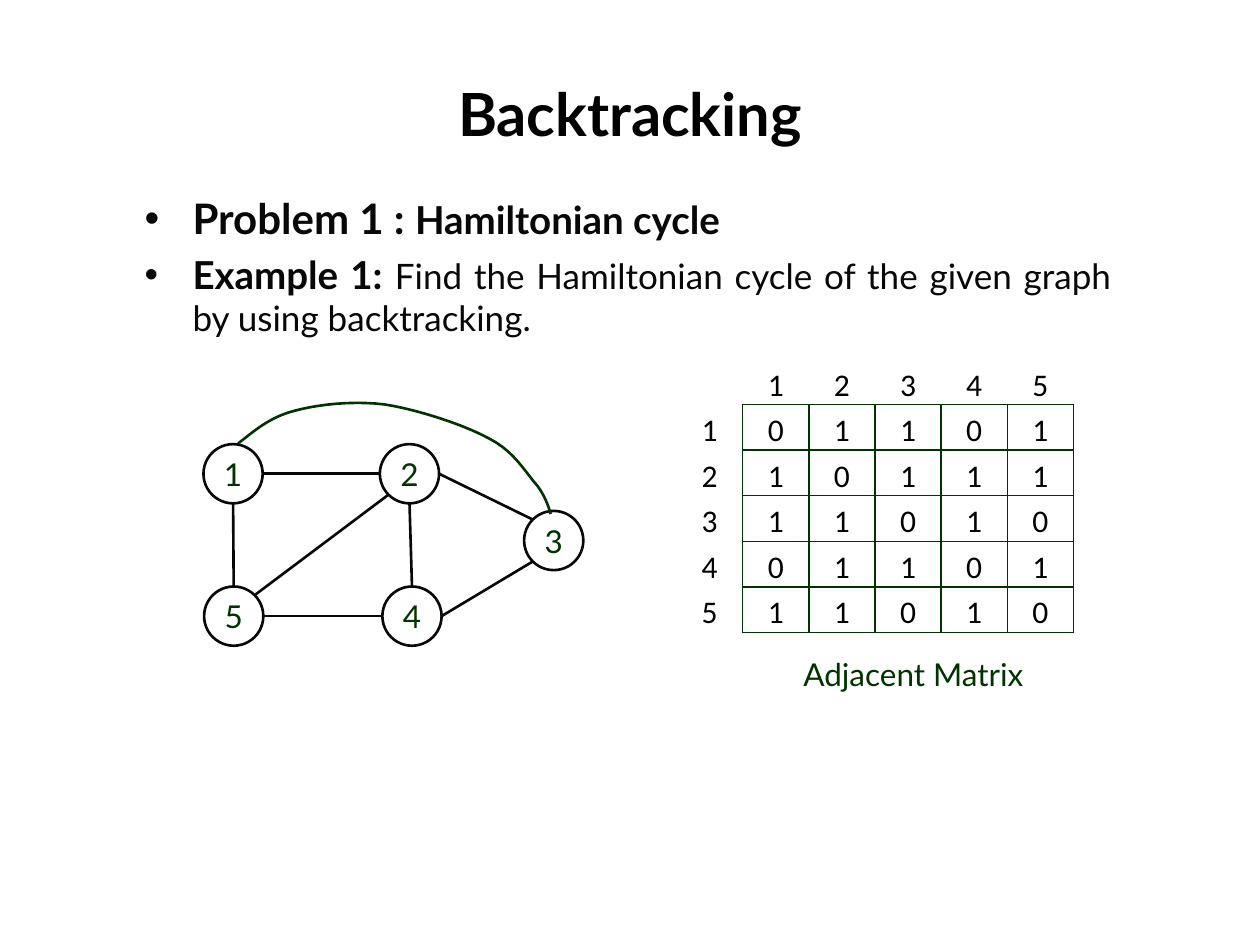
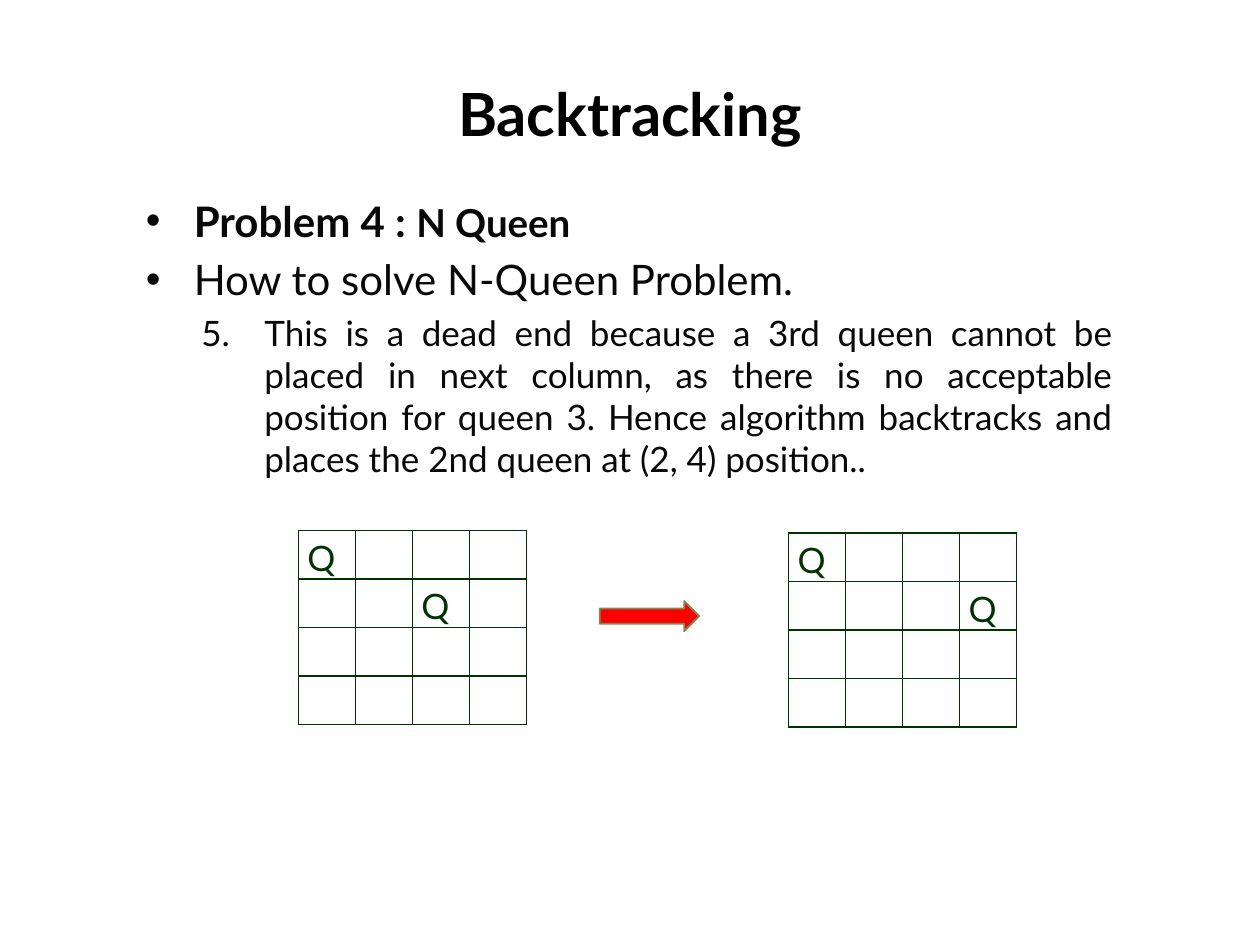
from itertools import product
from math import cos, radians, sin

from lxml.etree import SubElement
from pptx import Presentation
from pptx.dml.color import RGBColor
from pptx.enum.shapes import MSO_CONNECTOR, MSO_SHAPE
from pptx.enum.text import MSO_ANCHOR, PP_ALIGN
from pptx.oxml import parse_xml
from pptx.oxml.ns import nsdecls, qn
from pptx.util import Inches, Pt

INK = {"title": "000000", "body": "080808", "green": "003300",
       "white": "FFFFFF", "arrow": "FF0000", "rim": "7B8D55"}
FONT, CELL_FONT = "Lato", "Calibri"
COLS, ROWS = 100, 75  # slide grid, ten units to the inch
SIZE = 4.7  # diameter of a graph node

# Graph: centre of each node, then edges with the rim angles they join
NODES = {1: (18.5, 37.6), 2: (32.5, 37.6), 3: (43.95, 42.9),
         4: (32.7, 48.9), 5: (18.55, 48.9)}
EDGES = [(2, 180, 1, 0), (4, 180, 5, 0), (2, 90, 4, 270), (5, 270, 1, 90),
         (2, 135, 5, 315), (3, 225, 2, 0), (3, 135, 4, 0)]
ARC = (1, 3)  # the edge drawn as a curve
CURVE = [(18.9, 35.2), (20.2, 34.2), (21.4, 33.1), (23.4, 32.6),
         (25.3, 32.1), (27.9, 31.8), (30.5, 32.1),
         (33.1, 32.5), (36.8, 33.7), (38.8, 34.8),
         (40.8, 35.8), (41.7, 37.5), (42.6, 38.5),
         (43.4, 39.5), (43.7, 40.8), (43.7, 40.8)]


def unit(n):
    return Inches(n / 10)


def box(*nums):
    return [unit(n) for n in nums]


def tint(name):
    return RGBColor.from_string(INK[name])


def style(run, size, ink, bold=False, face=FONT):
    font = run.font
    font.name, font.size, font.bold = face, Pt(size), bold
    font.color.rgb = tint(ink)


def stroke(line, ink, width=1.5):
    line.color.rgb = tint(ink)
    line.width = Pt(width)


def label(slide, area, text, size, ink, bold=False):
    frame = slide.shapes.add_textbox(*box(*area)).text_frame
    frame.word_wrap = True
    frame.vertical_anchor = MSO_ANCHOR.MIDDLE
    frame.text = text
    par = frame.paragraphs[0]
    par.alignment = PP_ALIGN.CENTER
    style(par.runs[0], size, ink, bold)


def bullet(par, start=None):
    """Hang a dot, or a number when start is given."""
    props = par._p.get_or_add_pPr()
    left, hang = (0.94, 0.5) if start else (0.38, 0.38)
    props.set("marL", str(Inches(left)))
    props.set("indent", str(-Inches(hang)))
    if start:
        SubElement(props, qn("a:buAutoNum"), type="arabicPeriod",
                   startAt=str(start))
    else:
        SubElement(props, qn("a:buFont"), typeface="Arial")
        SubElement(props, qn("a:buChar"), char="•")


def body(slide, area, items):
    """Each item is (start number or None, [(text, size, bold), ...])."""
    frame = slide.shapes.add_textbox(*box(*area)).text_frame
    frame.word_wrap = True
    for i, (start, parts) in enumerate(items):
        par = frame.add_paragraph() if i else frame.paragraphs[0]
        par.alignment = PP_ALIGN.JUSTIFY
        if i:
            par.space_before = Pt(parts[0][1] * 0.2)
        bullet(par, start)
        for text, size, bold in parts:
            run = par.add_run()
            run.text = text
            style(run, size, "body", bold)


def border(cell, inks):
    """Draw the left, right, top and bottom sides in the given inks."""
    props = cell._tc.get_or_add_tcPr()
    for i, (side, ink) in enumerate(zip("LRTB", inks)):
        props.insert(i, parse_xml(
            f'<a:ln{side} {nsdecls("a")} w="12700"><a:solidFill>'
            f'<a:srgbClr val="{INK[ink]}"/></a:solidFill></a:ln{side}>'))


def table(slide, area, count):
    grid = slide.shapes.add_table(count, count, *box(*area)).table
    grid.first_row = grid.horz_banding = False
    for cell in grid.iter_cells():
        cell.fill.background()
        cell.vertical_anchor = MSO_ANCHOR.BOTTOM
        cell.margin_left = cell.margin_right = cell.margin_top = unit(0.1)
        cell.margin_bottom = 0
    return grid


def matrix(slide, area):
    """Adjacency matrix worked out from the edges of the graph."""
    pairs = {frozenset((a, b)) for a, _, b, _ in EDGES} | {frozenset(ARC)}
    count = len(NODES) + 1
    grid = table(slide, area, count)
    for row, col in product(range(count), repeat=2):
        cell = grid.cell(row, col)
        if row and col:
            inks = ["green"] * 4
            text = str(int(frozenset((row, col)) in pairs))
        else:
            inks = ["white", "green" if row else "white",
                    "white", "green" if col else "white"]
            text = str(row or col or "")
        border(cell, inks)
        if text:
            cell.text_frame.text = text
            par = cell.text_frame.paragraphs[0]
            par.alignment = PP_ALIGN.CENTER
            style(par.runs[0], 18, "title", face=CELL_FONT)


def board(slide, area, queens):
    grid = table(slide, area, 4)
    for cell in grid.iter_cells():
        border(cell, ["green"] * 4)
    for row, col in queens:
        cell = grid.cell(row - 1, col - 1)
        cell.margin_left = unit(0.7)
        cell.text_frame.text = "Q"
        style(cell.text_frame.paragraphs[0].runs[0], 20, "green")


def node(slide, name):
    x, y = NODES[name]
    disc = slide.shapes.add_shape(
        MSO_SHAPE.OVAL, *box(x - SIZE / 2, y - SIZE / 2, SIZE, SIZE))
    disc.shadow.inherit = False
    disc.fill.background()
    stroke(disc.line, "body")
    frame = disc.text_frame
    frame.margin_left = frame.margin_right = 0
    frame.margin_top = frame.margin_bottom = 0
    frame.vertical_anchor = MSO_ANCHOR.MIDDLE
    frame.text = str(name)
    par = frame.paragraphs[0]
    par.alignment = PP_ALIGN.CENTER
    style(par.runs[0], 18, "green")


def rim(name, angle):
    x, y = NODES[name]
    turn = radians(angle)
    return box(x + SIZE / 2 * cos(turn), y + SIZE / 2 * sin(turn))


def edge(slide, a, leave, b, reach):
    line = slide.shapes.add_connector(
        MSO_CONNECTOR.STRAIGHT, *rim(a, leave), *rim(b, reach))
    stroke(line.line, "body")
    SubElement(line._element.spPr, qn("a:effectLst"))


def curve(slide, knots, steps=10):
    """Trace a chain of cubic curves as short straight pieces."""
    trace = []
    for i in range(0, len(knots) - 1, 3):
        for step in range(1, steps + 1):
            t = step / steps
            parts = ((1 - t) ** 3, 3 * t * (1 - t) ** 2,
                     3 * t * t * (1 - t), t ** 3)
            trace.append(box(*(sum(w * p[axis] for w, p in
                                   zip(parts, knots[i:i + 4]))
                               for axis in (0, 1))))
    pen = slide.shapes.build_freeform(*box(*knots[0]))
    pen.add_line_segments(trace, close=False)
    shape = pen.convert_to_shape()
    shape.shadow.inherit = False
    shape.fill.background()
    stroke(shape.line, "green")


def arrow(slide, area):
    shape = slide.shapes.add_shape(MSO_SHAPE.RIGHT_ARROW, *box(*area))
    shape.shadow.inherit = False
    shape.fill.solid()
    shape.fill.fore_color.rgb = tint("arrow")
    stroke(shape.line, "rim", 1)


def page(deck):
    slide = deck.slides.add_slide(deck.slide_layouts[6])
    label(slide, (5, 5, 90, 7.9), "Backtracking", 34, "title", True)
    return slide


def main():
    deck = Presentation()
    deck.slide_width, deck.slide_height = box(COLS, ROWS)

    # Hamiltonian cycle
    slide = page(deck)
    body(slide, (10.5, 14.8, 78.7, 50.3), [
        (None, [("Problem 1 : ", 24, True), ("Hamiltonian cycle", 22, True)]),
        (None, [("Example 1: ", 22, True),
                ("Find the Hamiltonian cycle of the given graph "
                 "by using backtracking.", 20, False)])])
    for name in NODES:
        node(slide, name)
    for ends in EDGES:
        edge(slide, *ends)
    curve(slide, CURVE)
    matrix(slide, (53.7, 28.5, 31.5, 21.7))
    label(slide, (60, 51.5, 25, 4), "Adjacent Matrix", 18, "green")

    # N queens
    slide = page(deck)
    body(slide, (10.6, 15, 78.7, 45), [
        (None, [("Problem 4 : ", 24, True), ("N Queen", 22, True)]),
        (None, [("How to solve N-Queen Problem.", 24, False)]),
        (5, [("This is a dead end because a 3rd queen cannot be placed in "
              "next column, as there is no acceptable position for queen 3. "
              "Hence algorithm backtracks and places the 2nd queen at (2, 4) "
              "position..", 20, False)])])
    board(slide, (62.6, 42.3, 18.1, 15.4), [(1, 1), (2, 4)])
    board(slide, (23.7, 42.1, 18.1, 15.4), [(1, 1), (2, 3)])
    arrow(slide, (47.6, 47.7, 7.9, 2.4))

    deck.save("out.pptx")


if __name__ == "__main__":
    main()
